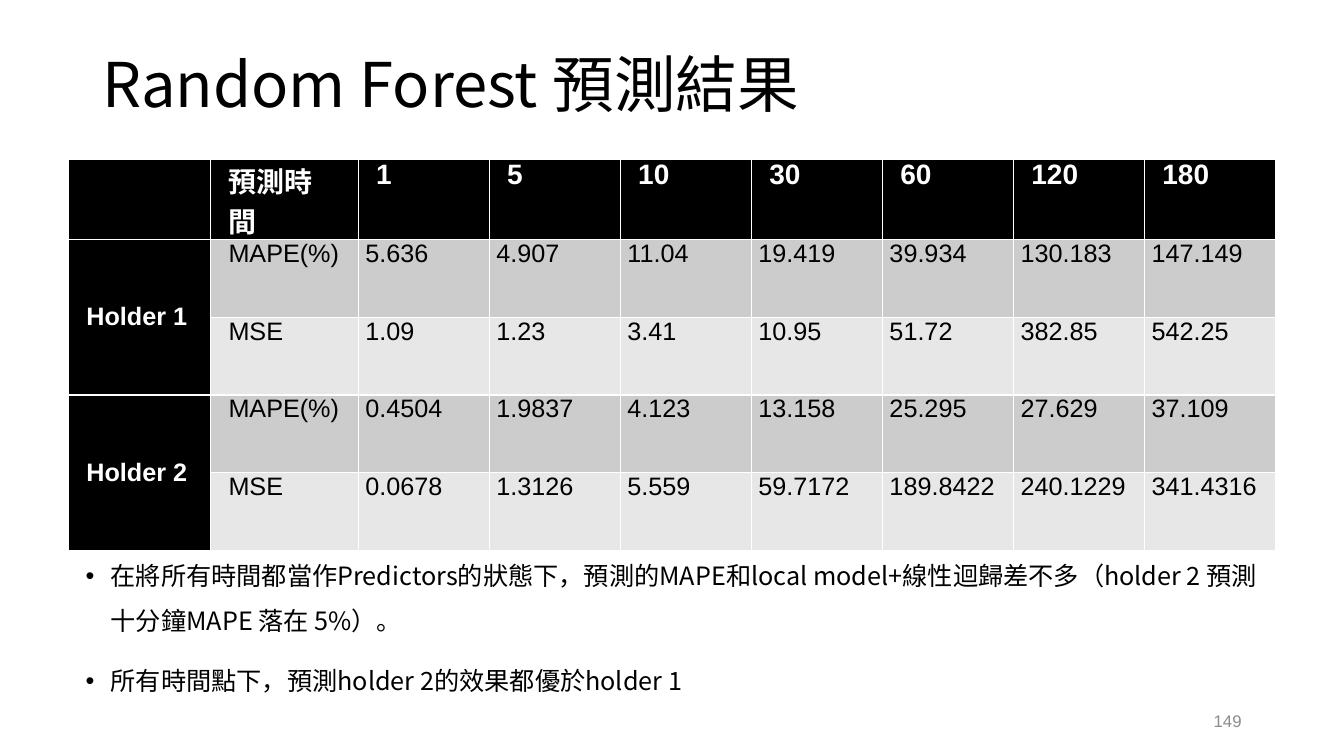
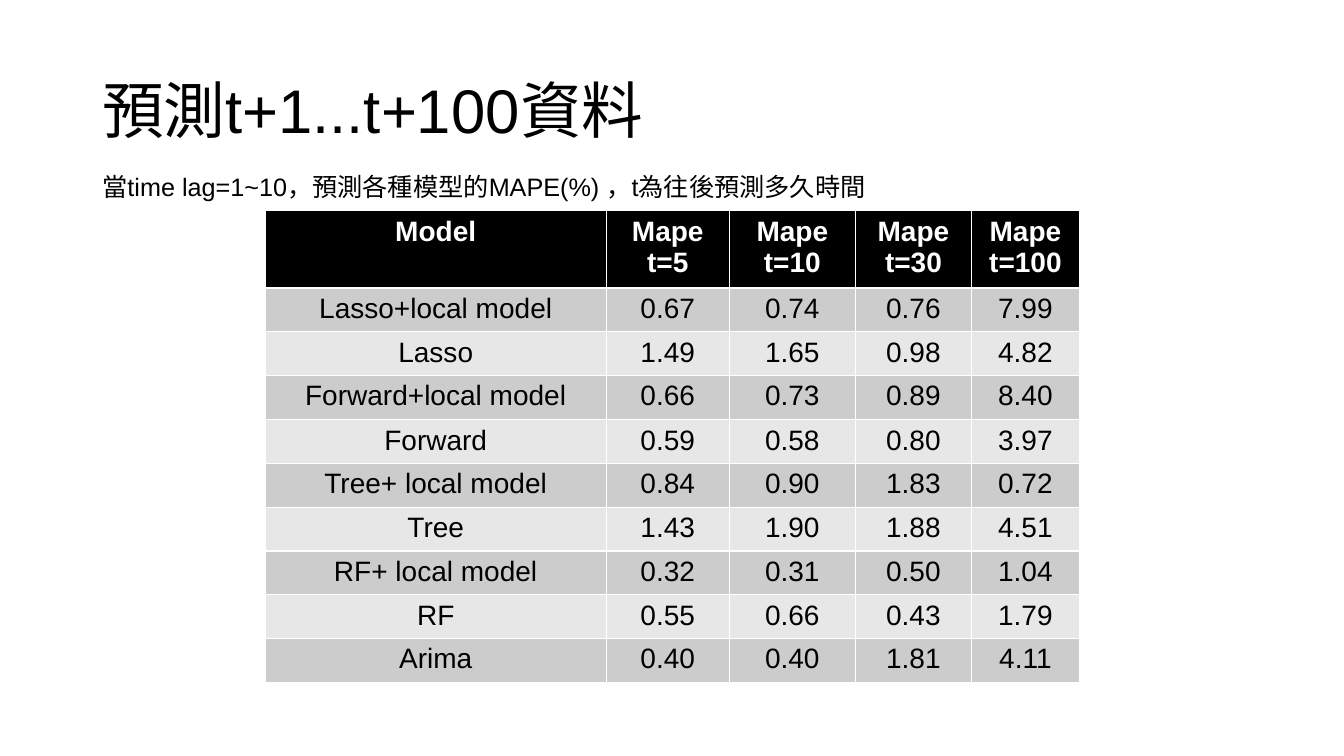
from lxml import etree
from pptx import Presentation
from pptx.dml.color import RGBColor
from pptx.enum import text
from pptx.oxml import ns
from pptx.util import Pt

COLORS = {
    "ink": "000000",
    "paper": "FFFFFF",
    "odd_row": "CCCCCC",
    "even_row": "E7E7E7",
    "page": "8C8C8C",
}
SANS = "Arial"
CJK = "Noto Sans CJK SC"
LEFT, CENTER, RIGHT = text.PP_ALIGN.LEFT, text.PP_ALIGN.CENTER, text.PP_ALIGN.RIGHT
TOP, MIDDLE = text.MSO_ANCHOR.TOP, text.MSO_ANCHOR.MIDDLE


def write(frame, lines, size, color="ink", font=SANS, bold=False, align=LEFT,
          anchor=TOP, spacing=None, gap=0, bullet=False):
    frame.word_wrap = True
    frame.vertical_anchor = anchor
    for i, line in enumerate(lines):
        para = frame.add_paragraph() if i else frame.paragraphs[0]
        if bullet:
            props = para._p.get_or_add_pPr()
            props.set("marL", str(Pt(18)))
            props.set("indent", str(-Pt(18)))
            etree.SubElement(props, ns.qn("a:buFont")).set("typeface", SANS)
            etree.SubElement(props, ns.qn("a:buChar")).set("char", "•")
        para.alignment = align
        if spacing:
            para.line_spacing = spacing
        if i and gap:
            para.space_before = Pt(gap)
        run = para.add_run()
        run.text = line
        run.font.size = Pt(size)
        run.font.name = font
        run.font.bold = bold
        run.font.color.rgb = RGBColor.from_string(COLORS[color])
        latin = run._r.get_or_add_rPr().find(ns.qn("a:latin"))
        east_asian = etree.Element(ns.qn("a:ea"))
        east_asian.set("typeface", CJK)
        latin.addnext(east_asian)


def add_grid(slide, left, top, widths, heights, row_fills):
    grid = slide.shapes.add_table(len(heights), len(widths), Pt(left), Pt(top),
                                  Pt(sum(widths)), Pt(sum(heights))).table
    for column, width in zip(grid.columns, widths):
        column.width = Pt(width)
    for row, height, fill in zip(grid.rows, heights, row_fills):
        row.height = Pt(height)
        for cell in row.cells:
            cell.fill.solid()
            cell.fill.fore_color.rgb = RGBColor.from_string(COLORS[fill])
    return grid


deck = Presentation()
deck.slide_width, deck.slide_height = Pt(960), Pt(540)
forest, models = [deck.slides.add_slide(deck.slide_layouts[6]) for _ in range(2)]

for slide, title, height, font in [
    (forest, "Random Forest 預測結果", 67, CJK),
    (models, "預測t+1...t+100資料", 104.5, SANS),
]:
    heading = slide.shapes.add_textbox(Pt(66), Pt(28.75), Pt(828), Pt(height))
    write(heading.text_frame, [title], 44, font=font, anchor=MIDDLE, spacing=0.9)

page_number = forest.shapes.add_textbox(Pt(678), Pt(500.5), Pt(216), Pt(28.75))
write(page_number.text_frame, ["149"], 12, "page", align=RIGHT, anchor=MIDDLE)

horizons = ["1", "5", "10", "30", "60", "120", "180"]
holder_errors = [
    ["MAPE(%)", "5.636", "4.907", "11.04", "19.419", "39.934", "130.183", "147.149"],
    ["MSE", "1.09", "1.23", "3.41", "10.95", "51.72", "382.85", "542.25"],
    ["MAPE(%)", "0.4504", "1.9837", "4.123", "13.158", "25.295", "27.629", "37.109"],
    ["MSE", "0.0678", "1.3126", "5.559", "59.7172", "189.8422", "240.1229", "341.4316"],
]
stripes = ["odd_row", "even_row"]
holder_grid = add_grid(forest, 49, 114, [101.5, 105.5] + [93.6] * len(horizons),
                       [57] + [55.6] * 4, ["ink"] + stripes * 2)
for r, values in enumerate([["預測時間"] + horizons] + holder_errors):
    for c, value in enumerate(values, 1):
        cell = holder_grid.cell(r, c)
        cell.margin_top = cell.margin_bottom = 0
        cell.margin_left = cell.margin_right = Pt(12.75 if r == 0 or c == 1 else 5)
        if r == 0:
            write(cell.text_frame, [value], 20, "paper", bold=True)
        else:
            write(cell.text_frame, [value], 18)
for r, holder in [(1, "Holder 1"), (3, "Holder 2")]:
    cell = holder_grid.cell(r, 0)
    cell.merge(holder_grid.cell(r + 1, 0))
    cell.fill.solid()
    cell.fill.fore_color.rgb = RGBColor.from_string(COLORS["ink"])
    cell.margin_left = cell.margin_right = Pt(12.75)
    cell.margin_top = cell.margin_bottom = 0
    write(cell.text_frame, [holder], 18, "paper", bold=True)
    cell.vertical_anchor = MIDDLE

findings = forest.shapes.add_textbox(Pt(54), Pt(386), Pt(851), Pt(125))
write(findings.text_frame, [
    "在將所有時間都當作Predictors的狀態下，預測的MAPE和local model+線性迴歸差不多"
    "（holder 2 預測十分鐘MAPE 落在 5%）。",
    "所有時間點下，預測holder 2的效果都優於holder 1",
], 18, font=CJK, spacing=1.5, gap=10, bullet=True)

model_errors = [
    ["Lasso+local model", "0.67", "0.74", "0.76", "7.99"],
    ["Lasso", "1.49", "1.65", "0.98", "4.82"],
    ["Forward+local model", "0.66", "0.73", "0.89", "8.40"],
    ["Forward", "0.59", "0.58", "0.80", "3.97"],
    ["Tree+ local model", "0.84", "0.90", "1.83", "0.72"],
    ["Tree", "1.43", "1.90", "1.88", "4.51"],
    ["RF+ local model", "0.32", "0.31", "0.50", "1.04"],
    ["RF", "0.55", "0.66", "0.43", "1.79"],
    ["Arima", "0.40", "0.40", "1.81", "4.11"],
]
model_header = [["Model"], ["Mape t=5"], ["Mape", "t=10"], ["Mape", "t=30"], ["Mape", "t=100"]]
model_grid = add_grid(models, 189.5, 150.5, [243.5, 88, 90, 83, 77],
                      [51.5, 29.6, 29.6, 31.6] + [29.6] * 6,
                      ["ink"] + stripes * 4 + ["odd_row"])
for c, lines in enumerate(model_header):
    write(model_grid.cell(0, c).text_frame, lines, 20, "paper", bold=True, align=CENTER)
for r, values in enumerate(model_errors, 1):
    for c, value in enumerate(values):
        write(model_grid.cell(r, c).text_frame, [value], 20, align=CENTER)

caption = models.shapes.add_textbox(Pt(66), Pt(119), Pt(596), Pt(29))
write(caption.text_frame, ["當time lag=1~10，預測各種模型的MAPE(%) ，t為往後預測多久時間"], 18)

deck.save("out.pptx")
